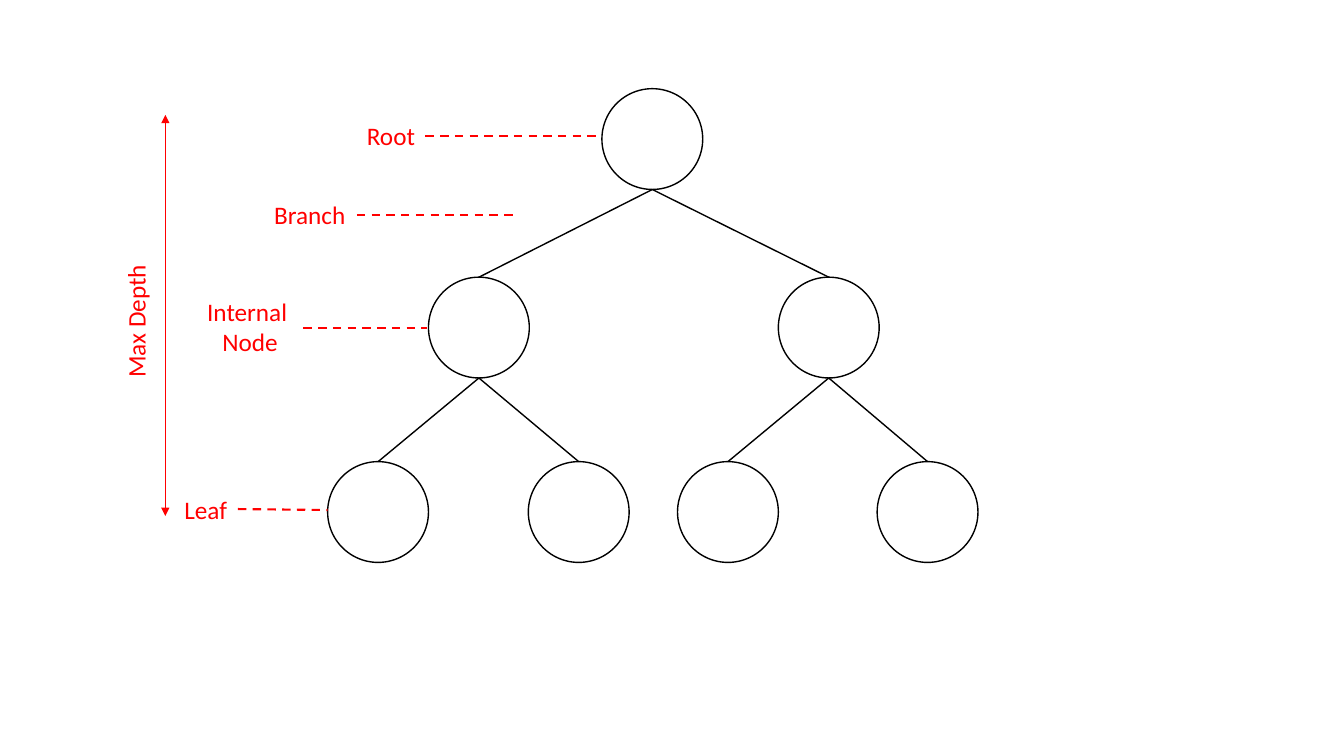
from dataclasses import dataclass

import pptx
import pptx.dml.color
import pptx.enum.dml
import pptx.enum.shapes
import pptx.enum.text
import pptx.oxml
import pptx.oxml.ns
import pptx.util

PX = 9144  # EMU in one px, 100 px to the inch


@dataclass(frozen=True)
class Theme:
    ink: str = "000000"
    paper: str = "FFFFFF"
    note: str = "FF0000"
    font: str = "Calibri"
    size: int = 18
    thin: float = 1
    leader: float = 1.5


def rgb(code):
    return pptx.dml.color.RGBColor.from_string(code)


def emu(*lengths):
    return [pptx.util.Emu(n * PX) for n in lengths]


class Diagram:
    NODE = 100

    def __init__(self, s, theme):
        self.s = s
        self.theme = theme

    def node(self, x, top):
        """Draw a circle centred on x."""
        sp = self.s.shapes.add_shape(
            pptx.enum.shapes.MSO_SHAPE.OVAL,
            *emu(x - self.NODE // 2, top, self.NODE, self.NODE))
        sp.shadow.inherit = False
        sp.fill.solid()
        sp.fill.fore_color.rgb = rgb(self.theme.paper)
        sp.line.color.rgb = rgb(self.theme.ink)
        sp.line.width = pptx.util.Pt(self.theme.thin)

    def line(self, start, end, color, width):
        cxn = self.s.shapes.add_connector(
            pptx.enum.shapes.MSO_CONNECTOR.STRAIGHT, *emu(*start, *end))
        cxn.line.color.rgb = rgb(color)
        cxn.line.width = pptx.util.Pt(width)
        pptx.oxml.ns.qn("a:effectLst")
        cxn._element.spPr.append(pptx.oxml.parse_xml(
            f"<a:effectLst {pptx.oxml.ns.nsdecls('a')}/>"))
        return cxn

    def branch(self, start, end):
        self.line(start, end, self.theme.ink, self.theme.thin)

    def leader(self, start, end):
        cxn = self.line(start, end, self.theme.note, self.theme.leader)
        cxn.line.dash_style = pptx.enum.dml.MSO_LINE.DASH

    def span(self, start, end):
        """Draw a line with an arrowhead at both ends."""
        cxn = self.line(start, end, self.theme.note, self.theme.thin)
        ln = cxn.line._get_or_add_ln()
        for tag in ("headEnd", "tailEnd"):
            ln.append(pptx.oxml.parse_xml(
                f"<a:{tag} {pptx.oxml.ns.nsdecls('a')} type='triangle'/>"))

    def label(self, text, box, align=None, rotation=0):
        sp = self.s.shapes.add_textbox(*emu(*box))
        sp.rotation = rotation
        tf = sp.text_frame
        tf.text = text
        tf.word_wrap = False
        tf.auto_size = pptx.enum.text.MSO_AUTO_SIZE.SHAPE_TO_FIT_TEXT
        for p in tf.paragraphs:
            p.alignment = align
            for r in p.runs:
                r.font.name = self.theme.font
                r.font.size = pptx.util.Pt(self.theme.size)
                r.font.color.rgb = rgb(self.theme.note)

    def tree(self, x, children, tops):
        """Draw a node at x, then its subtrees on the levels below."""
        top, *below = tops
        self.node(x, top)
        for child_x, grandchildren in children:
            self.branch((x, top + self.NODE), (child_x, below[0]))
            self.tree(child_x, grandchildren, below)


LEVEL_TOPS = (88, 275, 458)
CHILDREN_OF_ROOT = [
    (475, [(375, []), (574, [])]),
    (822, [(722, []), (920, [])]),
]
CENTER = pptx.enum.text.PP_ALIGN.CENTER
# text, box, alignment, start height of the leader, end of the leader
LABELS = [
    ("Root", (354, 114, 68, 40), None, 135, (592, 135)),
    ("Branch", (262, 193, 92, 40), None, 213, (509, 213)),
    ("Internal \nNode", (195, 289, 106, 71), CENTER, 325, (424, 325)),
    ("Leaf", (173, 485, 63, 40), None, 505, (325, 506)),
]


def main():
    prs = pptx.Presentation()
    prs.slide_width, prs.slide_height = emu(1333, 750)
    diagram = Diagram(prs.slides.add_slide(prs.slide_layouts[6]), Theme())

    diagram.tree(647, CHILDREN_OF_ROOT, LEVEL_TOPS)
    for text, box, align, y, end in LABELS:
        diagram.label(text, box, align)
        diagram.leader((box[0] + box[2], y), end)
    diagram.span((164, 114), (164, 512))
    diagram.label("Max Depth", (68, 298, 133, 40), rotation=270)

    prs.save("out.pptx")


if __name__ == "__main__":
    main()
